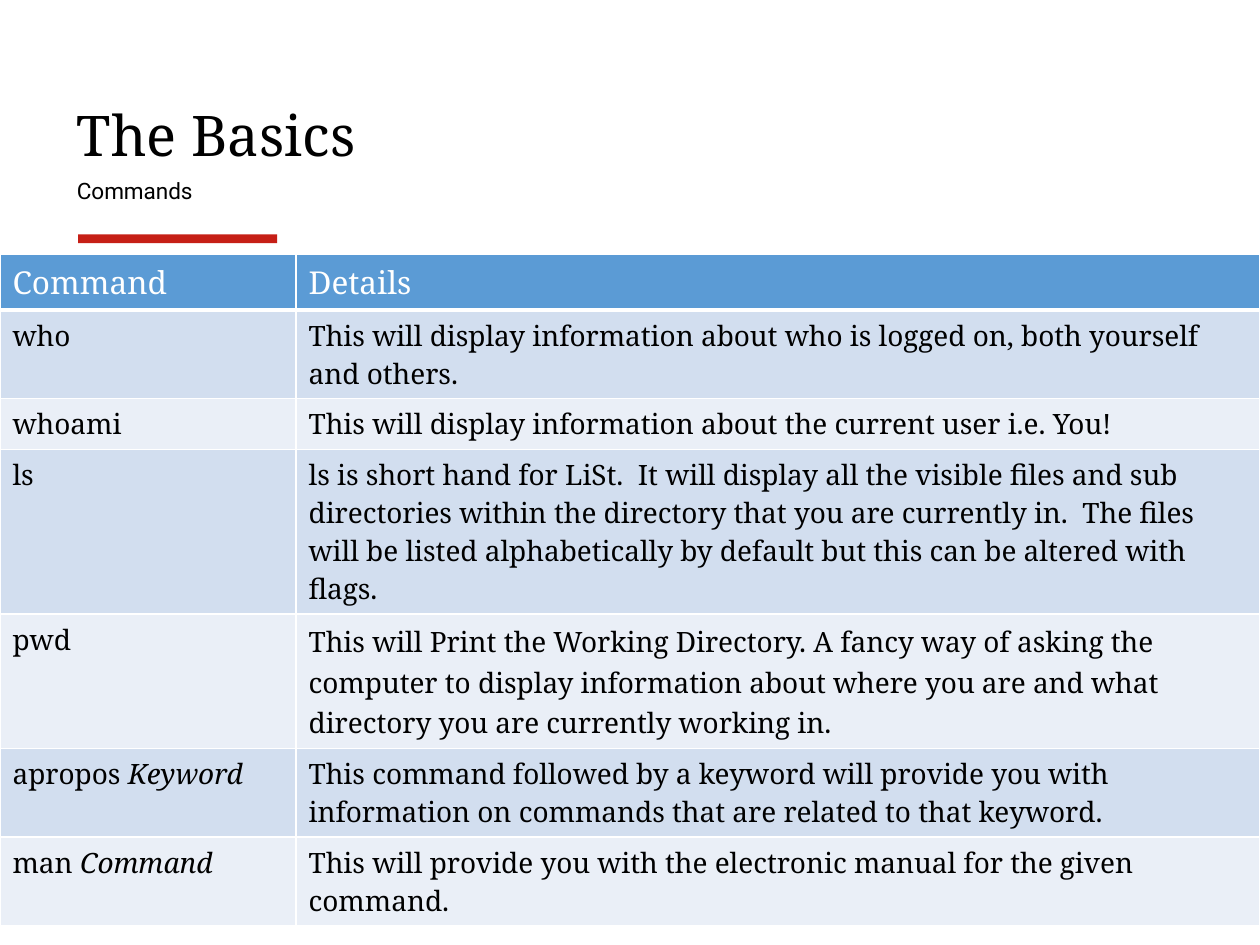
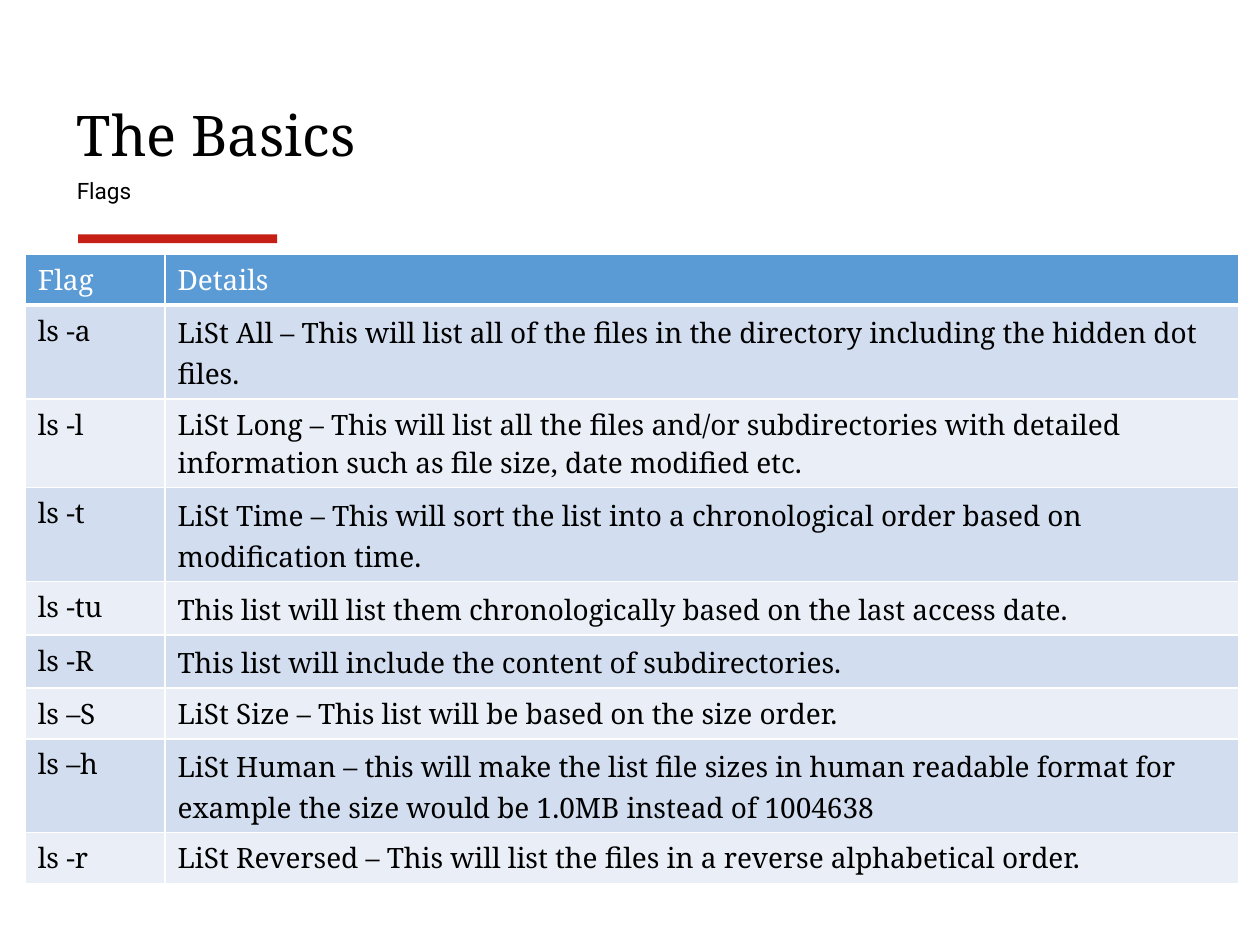
"""Build two slides that tabulate basic shell commands and flags."""
from dataclasses import dataclass

from lxml.etree import SubElement
from pptx import Presentation
from pptx.dml.color import RGBColor
from pptx.enum.shapes import MSO_SHAPE
from pptx.enum.text import MSO_ANCHOR, MSO_AUTO_SIZE, PP_ALIGN
from pptx.oxml.ns import qn
from pptx.util import Inches, Pt


@dataclass(frozen=True)
class Theme:
    serif: str = "Noto Serif"
    sans: str = "Roboto"
    black: str = "000000"
    white: str = "FFFFFF"
    accent: str = "C61F16"
    header: str = "5B9BD5"
    bands: tuple = ("D2DEEF", "EAEFF7")
    title_size: float = 32
    subtitle_size: float = 12.9
    cell_size: float = 16
    rule: float = 1
    header_rule: float = 3
    loose: float = 1.07


THEME = Theme()
TITLE = "The Basics"
TITLE_BOX = (0.51, 0.78, 4.7, 0.63)
SUBTITLE_BOX = (0.51, 1.41, 4.75, 0.27)
ACCENT_BOX = (0.62, 1.86, 1.58, 0.07)
TABLE_TOP = 2.02
LOOSE = THEME.loose

# Each row: term, italic argument, details, line spacing of details, height
TOPICS = [
    {
        "subtitle": "Commands",
        "left": 0,
        "columns": (2.35, 7.65),
        "header": ("Command", "Details"),
        "header_size": 18,
        "header_height": 0.34,
        "rows": [
            ("who", "", "This will display information about who is logged on, both "
             "yourself and others.", 1, 0.61),
            ("whoami", "", "This will display information about the current user "
             "i.e. You!", 1, 0.34),
            ("ls", "", "ls is short hand for LiSt.  It will display all the visible "
             "files and sub directories within the directory that you are currently "
             "in.  The files will be listed alphabetically by default but this can "
             "be altered with flags.", 1, 1.13),
            ("pwd", "", "This will Print the Working Directory. A fancy way of asking "
             "the computer to display information about where you are and what "
             "directory you are currently working in.", LOOSE, 0.91),
            ("apropos ", "Keyword", "This command followed by a keyword will provide "
             "you with information on commands that are related to that keyword.",
             1, 0.61),
            ("man ", "Command", "This will provide you with the electronic manual for "
             "the given command.", 1, 0.61),
        ],
    },
    {
        "subtitle": "Flags",
        "left": 0.2,
        "columns": (1.11, 8.52),
        "header": ("Flag", "Details"),
        "header_size": 16,
        "header_height": 0.39,
        "rows": [
            ("ls -a", "", "LiSt All – This will list all of the files in the directory "
             "including the hidden dot files.", LOOSE, 0.72),
            ("ls -l", "", "LiSt Long – This will list all the files and/or "
             "subdirectories with detailed information such as file size, date "
             "modified etc.", 1, 0.67),
            ("ls -t", "", "LiSt Time – This will sort the list into a chronological "
             "order based on modification time.", LOOSE, 0.72),
            ("ls -tu", "", "This list will list them chronologically based on the last "
             "access date.", LOOSE, 0.41),
            ("ls -R", "", "This list will include the content of subdirectories.",
             LOOSE, 0.41),
            ("ls –S", "", "LiSt Size – This list will be based on the size order.",
             1, 0.39),
            ("ls –h", "", "LiSt Human – this will make the list file sizes in human "
             "readable format for example the size would be 1.0MB instead of 1004638",
             LOOSE, 0.72),
            ("ls -r", "", "LiSt Reversed – This will list the files in a reverse "
             "alphabetical order.", 1, 0.39),
        ],
    },
]


def style(paragraph, face, size, color, spacing):
    font = paragraph.font
    font.name, font.size, font.bold = face, Pt(size), False
    font.color.rgb = RGBColor.from_string(color)
    paragraph.line_spacing = spacing
    paragraph.space_before = Pt(0)
    paragraph.alignment = PP_ALIGN.LEFT


def fill_heading(placeholder, text, box, anchor, face, size, spacing):
    (placeholder.left, placeholder.top,
     placeholder.width, placeholder.height) = map(Inches, box)
    frame = placeholder.text_frame
    frame.text = text
    frame.auto_size = MSO_AUTO_SIZE.NONE
    frame.vertical_anchor = anchor
    paragraph = frame.paragraphs[0]
    properties = paragraph._p.get_or_add_pPr()
    properties.set("marL", "0")
    properties.set("indent", "0")
    SubElement(properties, qn("a:buNone"))
    style(paragraph, face, size, THEME.black, spacing)


def add_accent(slide):
    accent = slide.shapes.add_shape(MSO_SHAPE.RECTANGLE, *map(Inches, ACCENT_BOX))
    accent.shadow.inherit = False
    accent.fill.solid()
    accent.fill.fore_color.rgb = RGBColor.from_string(THEME.accent)
    accent.line.fill.background()


def fill_cell(cell, texts, size, color, background, bottom_rule, spacing=1):
    properties = cell._tc.get_or_add_tcPr()
    for side in "LRTB":
        width = bottom_rule if side == "B" else THEME.rule
        border = SubElement(properties, qn(f"a:ln{side}"), w=str(Pt(width)))
        solid = SubElement(border, qn("a:solidFill"))
        SubElement(solid, qn("a:srgbClr"), val=THEME.white)
    cell.fill.solid()
    cell.fill.fore_color.rgb = RGBColor.from_string(background)
    paragraph = cell.text_frame.paragraphs[0]
    for position, text in enumerate(filter(None, texts)):
        run = paragraph.add_run()
        run.text = text
        if position:
            run.font.italic = True
    style(paragraph, THEME.serif, size, color, spacing)


def add_reference(slide, topic):
    heights = [topic["header_height"], *(row[-1] for row in topic["rows"])]
    reference = slide.shapes.add_table(
        len(heights), len(topic["columns"]), Inches(topic["left"]), Inches(TABLE_TOP),
        Inches(sum(topic["columns"])), Inches(sum(heights))).table
    reference.horz_banding = False
    for column, width in zip(reference.columns, topic["columns"]):
        column.width = Inches(width)
    for line, height in zip(reference.rows, heights):
        line.height = Inches(height)
    for column, label in enumerate(topic["header"]):
        fill_cell(reference.cell(0, column), [label], topic["header_size"],
                  THEME.white, THEME.header, THEME.header_rule)
    for index, (term, argument, details, spacing, _) in enumerate(topic["rows"]):
        look = (THEME.cell_size, THEME.black, THEME.bands[index % 2], THEME.rule)
        fill_cell(reference.cell(index + 1, 0), [term, argument], *look)
        fill_cell(reference.cell(index + 1, 1), [details], *look, spacing)


def main():
    deck = Presentation()
    deck.slide_width, deck.slide_height = Inches(10), Inches(7.5)
    for topic in TOPICS:
        slide = deck.slides.add_slide(deck.slide_layouts[1])
        fill_heading(slide.shapes.title, TITLE, TITLE_BOX, MSO_ANCHOR.MIDDLE,
                     THEME.serif, THEME.title_size, 0.9)
        fill_heading(slide.placeholders[1], topic["subtitle"], SUBTITLE_BOX,
                     MSO_ANCHOR.TOP, THEME.sans, THEME.subtitle_size, 0.7)
        add_accent(slide)
        add_reference(slide, topic)
    deck.save("out.pptx")


if __name__ == "__main__":
    main()
